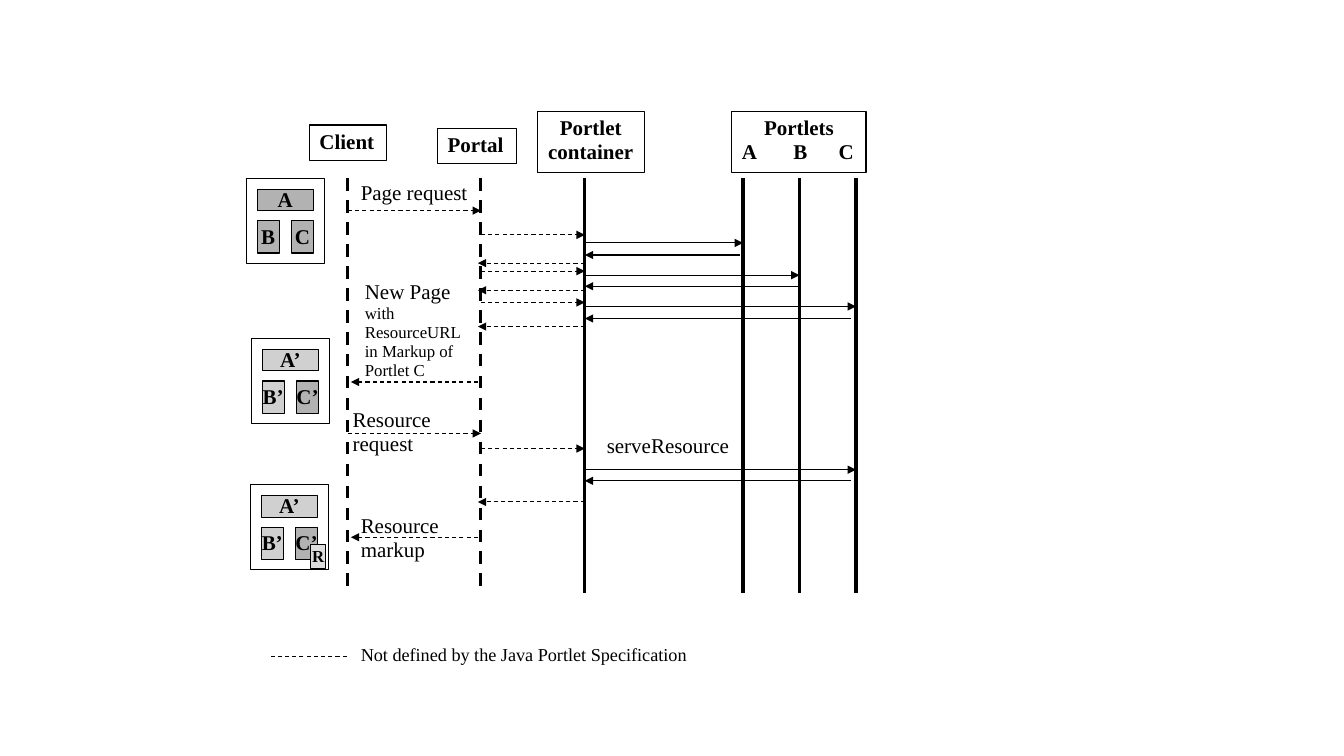
from pptx import Presentation
from pptx.dml.color import RGBColor
from pptx.enum.dml import MSO_LINE
from pptx.enum.shapes import MSO_CONNECTOR, MSO_SHAPE
from pptx.enum.text import MSO_ANCHOR, PP_ALIGN
from pptx.oxml.ns import qn
from pptx.util import Inches, Pt
from lxml import etree

RECT, LINE = MSO_SHAPE.RECTANGLE, MSO_CONNECTOR.STRAIGHT
DASH = MSO_LINE.DASH
TOP, MID = MSO_ANCHOR.TOP, MSO_ANCHOR.MIDDLE
LEFT, CENTER = PP_ALIGN.LEFT, PP_ALIGN.CENTER
FONT = "Times New Roman"
COLORS = {"ink": "000000", "old": "B2B2B2", "new": "D0D0D0", "res": "DDDDDD"}

HEADS = [
    (["Client"], (3.07, 1.24, 0.76, 0.35), LEFT),
    (["Portal"], (4.34, 1.27, 0.78, 0.35), LEFT),
    (["Portlet", "container"], (5.33, 1.11, 1.06, 0.6), CENTER),
    (["Portlets", "A\tB\tC"], (7.26, 1.11, 1.33, 0.6), CENTER),
]
TABS = [0.51, 0.96]
LANES = {"client": 3.45, "portal": 4.77, "box": 5.8,
         "A": 7.37, "B": 7.93, "C": 8.49}
BACK = {"client": 3.48, "portal": 4.74, "box": 5.8,
        "A": 7.34, "B": 7.93, "C": 8.44}
OUTER = ("client", "portal")
LANE_TOP, LANE_END = 1.77, 5.88
CALLS = [
    ("client", "portal", 2.09),
    ("portal", "box", 2.33), ("box", "A", 2.41),
    ("A", "box", 2.53), ("box", "portal", 2.61),
    ("portal", "box", 2.69), ("box", "B", 2.73),
    ("B", "box", 2.84), ("box", "portal", 2.88),
    ("portal", "box", 3.0), ("box", "C", 3.04),
    ("C", "box", 3.16), ("box", "portal", 3.24),
    ("portal", "client", 3.79),
    ("client", "portal", 4.3), ("portal", "box", 4.45),
    ("box", "C", 4.66), ("C", "box", 4.77),
    ("box", "portal", 4.98), ("portal", "client", 5.33),
]
PAGES = [
    (2.44, 1.77, [("A", "old"), ("B", "old"), ("C", "old")]),
    (2.49, 3.36, [("A’", "new"), ("B’", "new"), ("C’", "old")]),
    (2.48, 4.81, [("A’", "new"), ("B’", "new"), ("C’", "old")]),
]
CELLS = [(0.11, 0.11, 0.56, 0.21), (0.11, 0.42, 0.22, 0.32),
         (0.45, 0.42, 0.22, 0.32)]
LABELS = [
    (["Page request"], [15], (3.48, 1.75, 1.26, 0.34), False),
    (["serveResource"], [15], (5.92, 4.26, 1.42, 0.34), False),
    (["New Page", "with ResourceURL", "in Markup of Portlet C"],
     [15, 12, 12], (3.52, 2.73, 1.21, 1.11), True),
    (["Resource", "request"], [15, 15], (3.4, 4, 1.03, 0.58), False),
    (["Resource", "markup"], [15, 15], (3.48, 5.05, 1.03, 0.58), False),
    (["Not defined by the Java Portlet Specification"], [13],
     (3.48, 6.35, 3.66, 0.31), True),
]
KEY = (3.44, 2.69, 6.51)


def color(name):
    return RGBColor.from_string(COLORS[name])


def write(shape, rows, sizes=None, bold=False, align=LEFT, anchor=TOP,
          wrap=False, inset=(0.1, 0.05)):
    frame = shape.text_frame
    frame.word_wrap = wrap
    frame.vertical_anchor = anchor
    frame.margin_left = frame.margin_right = Inches(inset[0])
    frame.margin_top = frame.margin_bottom = Inches(inset[1])
    for i, row in enumerate(rows):
        para = frame.paragraphs[0] if i == 0 else frame.add_paragraph()
        para.text = row
        para.line_spacing = 0.95
        para.alignment = LEFT if "\t" in row else align
        if "\t" in row:
            stops = etree.SubElement(para._p.get_or_add_pPr(), qn("a:tabLst"))
            for x in TABS:
                etree.SubElement(stops, qn("a:tab"),
                                 pos=str(Inches(x)), algn="l")
        font = para.font
        font.name, font.bold = FONT, bold
        font.size = Pt(sizes[i] if sizes else 15)
        font.color.rgb = color("ink")


def box(slide, place, fill=None):
    shape = slide.shapes.add_shape(RECT, *map(Inches, place))
    shape.shadow.inherit = False
    if fill:
        shape.fill.solid()
        shape.fill.fore_color.rgb = color(fill)
    else:
        shape.fill.background()
    shape.line.color.rgb = color("ink")
    shape.line.width = Pt(0.75)
    return shape


def rule(slide, x1, y1, x2, y2, width=0.75, dash=False, arrow=False):
    link = slide.shapes.add_connector(LINE, *map(Inches, (x1, y1, x2, y2)))
    link.line.color.rgb = color("ink")
    link.line.width = Pt(width)
    if dash:
        link.line.dash_style = DASH
    if arrow:
        etree.SubElement(link.line._get_or_add_ln(), qn("a:tailEnd"),
                         type="triangle")
    etree.SubElement(link._element.spPr, qn("a:effectLst"))


def cell(slide, text, place, fill, size=15):
    write(box(slide, place, fill), [text], [size], bold=True, align=CENTER,
          anchor=MID, inset=(0, 0))


def main():
    deck = Presentation()
    deck.slide_width, deck.slide_height = Inches(13.33), Inches(7.5)
    slide = deck.slides.add_slide(deck.slide_layouts[6])

    for rows, place, align in HEADS:
        write(box(slide, place), rows, bold=True, align=align,
              wrap="\t" in rows[-1])

    for name, x in LANES.items():
        rule(slide, x, LANE_TOP, x, LANE_END, width=2.25, dash=name in OUTER)

    for start, end, y in CALLS:
        ends = LANES if LANES[start] < LANES[end] else BACK
        rule(slide, ends[start], y, ends[end], y, arrow=True,
             dash=start in OUTER or end in OUTER)

    for left, top, parts in PAGES:
        box(slide, (left, top, 0.78, 0.84))
        for (text, fill), (x, y, w, h) in zip(parts, CELLS):
            cell(slide, text, (left + x, top + y, w, h), fill)
    cell(slide, "R", (3.08, 5.4, 0.15, 0.24), "res", 12)

    for rows, sizes, place, wrap in LABELS:
        label = slide.shapes.add_textbox(*map(Inches, place))
        write(label, rows, sizes, wrap=wrap)

    x1, x2, y = KEY
    rule(slide, x1, y, x2, y, dash=True)
    deck.save("out.pptx")


if __name__ == "__main__":
    main()
